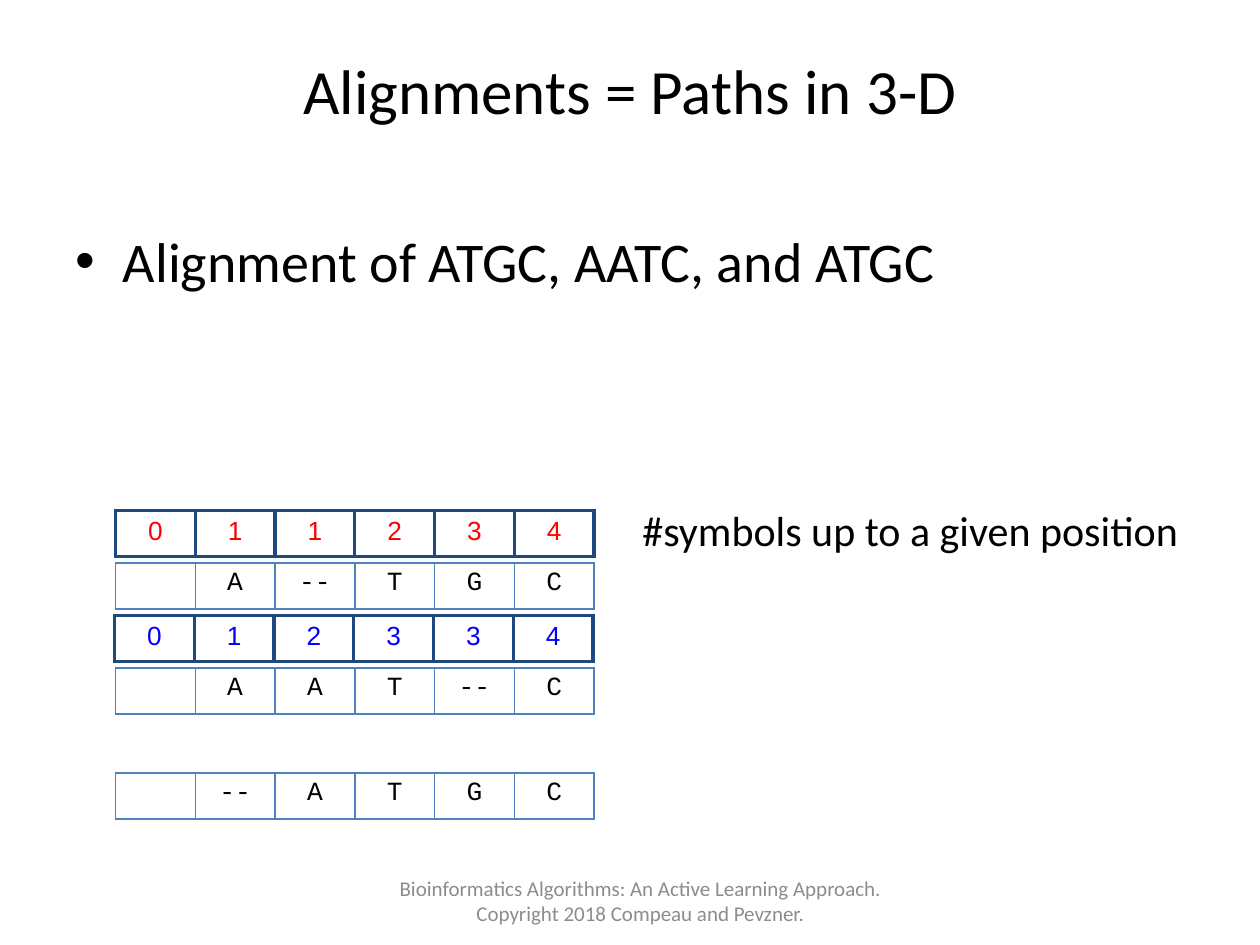
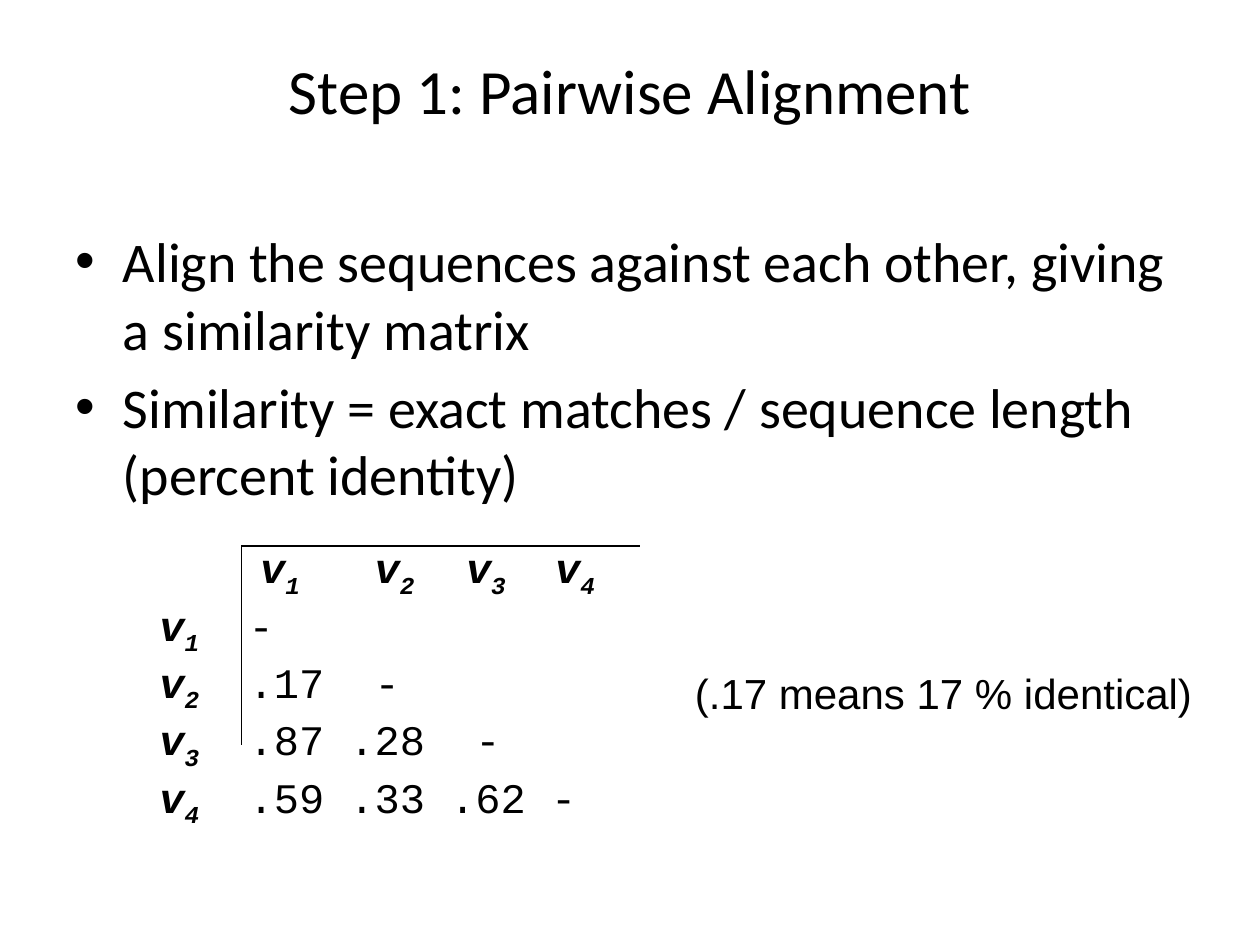
from lxml import etree
from pptx import Presentation
from pptx.dml.color import RGBColor
from pptx.enum.shapes import MSO_CONNECTOR
from pptx.enum.text import MSO_ANCHOR, PP_ALIGN
from pptx.oxml.ns import qn
from pptx.util import Inches, Pt

CENTER, LEFT = PP_ALIGN.CENTER, PP_ALIGN.LEFT
MIDDLE, TOP = MSO_ANCHOR.MIDDLE, MSO_ANCHOR.TOP
STRAIGHT = MSO_CONNECTOR.STRAIGHT

BLACK = RGBColor(0x00, 0x00, 0x00)
GRAY = RGBColor(0x8C, 0x8C, 0x8C)
RED = RGBColor(0xFF, 0x00, 0x00)
BLUE = RGBColor(0x00, 0x00, 0xFF)
NAVY = RGBColor(0x1F, 0x49, 0x7D)
STEEL = RGBColor(0x4F, 0x81, 0xBD)

# Shared text formats
TITLE = {"name": "Calibri", "size": Pt(36), "color": BLACK}
BODY = {"name": "Calibri", "size": Pt(32), "color": BLACK}
CAPTION = {"name": "Calibri", "size": Pt(24), "color": BLACK}
REMARK = {"name": "Arial", "size": Pt(24), "color": BLACK}
FOOTER = {"name": "Calibri", "size": Pt(12), "color": GRAY}
SYMBOL = {"name": "Courier New", "size": Pt(15), "color": BLACK}
MATRIX = {"name": "Courier New", "size": Pt(24), "color": BLACK}
VARIABLE = {**MATRIX, "bold": True, "italic": True}

deck = Presentation()
deck.slide_width, deck.slide_height = Inches(10), Inches(7.5)
UNIT = deck.slide_width // 120  # grid of 120 columns by 90 rows


def add_span(para, text, style):
    span = para.add_run()
    span.text = text
    for key, value in style.items():
        if key == "color":
            span.font.color.rgb = value
        else:
            setattr(span.font, key, value)
    return span


def add_box(page, left, top, width, height, wrap=True):
    box = page.shapes.add_textbox(*(int(n * UNIT) for n in (left, top, width, height)))
    box.text_frame.word_wrap = wrap
    return box.text_frame


# Title and bullets of both slides
CONTENTS = [
    ("Alignments = Paths in 3-D", ["Alignment of ATGC, AATC, and ATGC"]),
    ("Step 1: Pairwise Alignment",
     ["Align the sequences against each other, giving a similarity matrix",
      "Similarity = exact matches / sequence length (percent identity)"]),
]
pages = []
for heading, bullets in CONTENTS:
    page = deck.slides.add_slide(deck.slide_layouts[1])
    pages.append(page)
    title, body = page.placeholders
    for box, area, anchor in ((title, (6, 1, 108, 15), MIDDLE),
                              (body, (6, 21, 108, 59.4), TOP)):
        box.left, box.top, box.width, box.height = (int(n * UNIT) for n in area)
        box.text_frame.vertical_anchor = anchor
    para = title.text_frame.paragraphs[0]
    para.alignment = CENTER
    add_span(para, heading, TITLE)
    for index, bullet in enumerate(bullets):
        para = body.text_frame.add_paragraph() if index else body.text_frame.paragraphs[0]
        para.alignment = LEFT
        para.space_before = Pt(6.4 if index else 0)
        add_span(para, bullet, BODY)
paths_page, matrix_page = pages

# Alignment strips: grid slot, left edge, symbols, text format, border
COUNT_BORDER, SYMBOL_BORDER = (NAVY, 2.25), (STEEL, 1)
STRIPS = [
    (0, 11, "0 1 1 2 3 4", {**SYMBOL, "name": "Arial", "color": RED}, COUNT_BORDER),
    (1, 11, " A -- T G C", SYMBOL, SYMBOL_BORDER),
    (2, 10.9, "0 1 2 3 3 4", {**SYMBOL, "name": "Arial", "color": BLUE}, COUNT_BORDER),
    (3, 11, " A A T -- C", SYMBOL, SYMBOL_BORDER),
    (5, 11, " -- A T G C", SYMBOL, SYMBOL_BORDER),
]
for slot, left, symbols, style, (border_color, border_width) in STRIPS:
    area = (left, 48.6 + 5 * slot, 45.6, 4.4)
    table = paths_page.shapes.add_table(1, 6, *(int(n * UNIT) for n in area)).table
    table.first_row = table.horz_banding = False
    for cell, symbol in zip(table.iter_cells(), symbols.split(" ")):
        for side in ("a:lnL", "a:lnR", "a:lnT", "a:lnB"):
            line = etree.SubElement(cell._tc.get_or_add_tcPr(), qn(side), w=str(Pt(border_width)))
            fill = etree.SubElement(line, qn("a:solidFill"))
            etree.SubElement(fill, qn("a:srgbClr"), val=str(border_color))
        cell.fill.background()
        if symbol:
            para = cell.text_frame.paragraphs[0]
            para.alignment = CENTER
            add_span(para, symbol, style)
        else:
            cell.margin_top = cell.margin_bottom = 0

# Caption beside the strips and footer
caption = add_box(paths_page, 60, 47.5, 56, 6)
add_span(caption.paragraphs[0], "#symbols up to a given position", CAPTION)
footer = add_box(paths_page, 34, 83.4, 54, 4.8)
footer.vertical_anchor = MIDDLE
footer.paragraphs[0].alignment = CENTER
add_span(footer.paragraphs[0],
         "Bioinformatics Algorithms: An Active Learning Approach. "
         "Copyright 2018 Compeau and Pevzner.", FOOTER)

# Similarity matrix: entries of each row and their tab stops in grid units
ROWS = [
    (["", "v1", "v2", "v3", "v4"], [9.6, 20.5, 29.2, 37.7]),
    (["v1", "-"], [8.5]),
    (["v2", ".17", "-"], [8.5, 20.5]),
    (["v3", ".87", ".28", "-"], [8.5, 18.1, 30.1]),
    (["v4", ".59", ".33", ".62", "-"], [8.5, 18.1, 27.7, 37.3]),
]
matrix = add_box(matrix_page, 14, 51, 44.8, 25.2, wrap=False)
for index, (entries, stops) in enumerate(ROWS):
    para = matrix.add_paragraph() if index else matrix.paragraphs[0]
    tabs = etree.SubElement(para._p.get_or_add_pPr(), qn("a:tabLst"))
    for stop in stops:
        etree.SubElement(tabs, qn("a:tab"), pos=str(int(stop * UNIT)), algn="l")
    for column, entry in enumerate(entries):
        if column:
            add_span(para, "\t", MATRIX)
        if entry.startswith("v"):
            add_span(para, "v", VARIABLE)
            subscript = add_span(para, entry[1:], VARIABLE)
            subscript._r.get_or_add_rPr().set("baseline", "-25000")
        elif entry:
            add_span(para, entry, MATRIX)

# Rules along the top and left of the matrix
for end_x, end_y in ((23, 71), (61, 52)):
    rule = matrix_page.shapes.add_connector(
        STRAIGHT, *(n * UNIT for n in (23, 52, end_x, end_y)))
    rule.line.color.rgb = BLACK
    rule.line.width = Pt(0.75)
    etree.SubElement(rule._element.spPr, qn("a:effectLst"))

# Remark beside the matrix
remark = add_box(matrix_page, 65, 63, 49.8, 6, wrap=False)
add_span(remark.paragraphs[0], "(.17 means 17 % identical)", REMARK)

deck.save("out.pptx")
